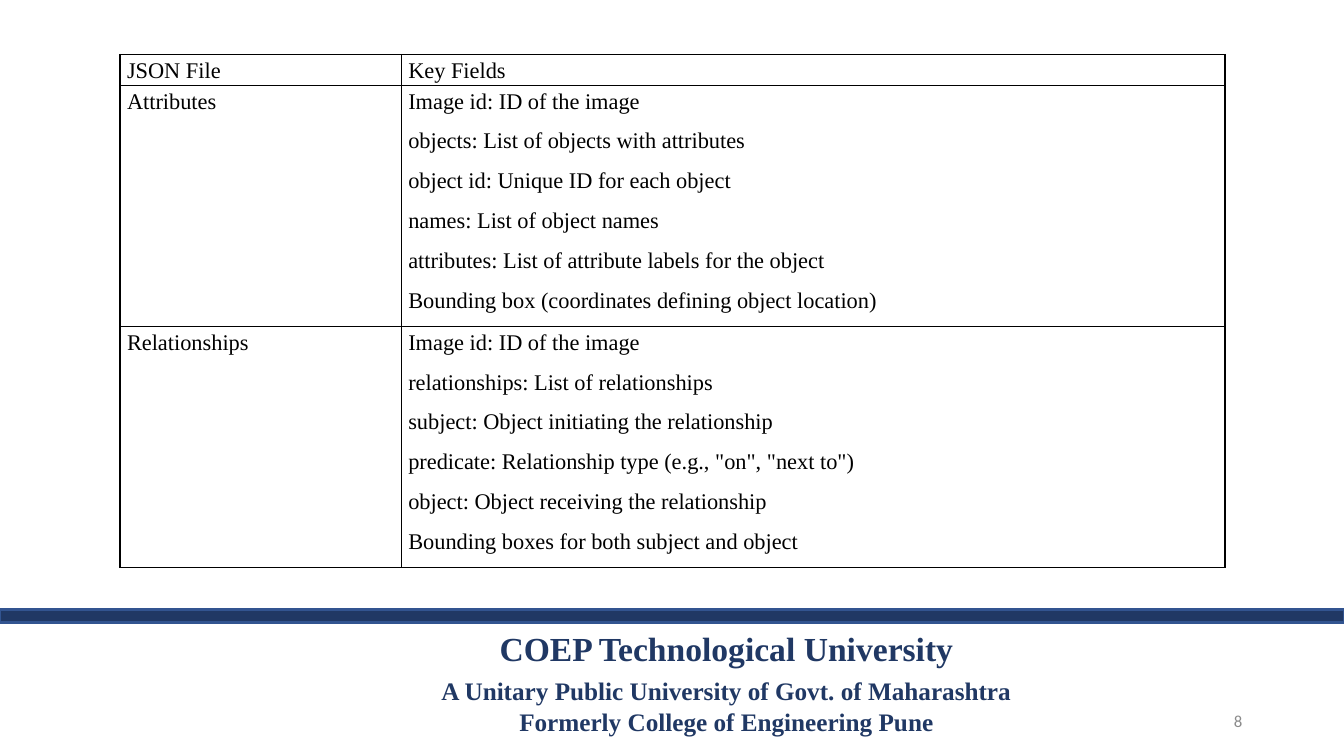
from lxml import etree
from pptx import Presentation
from pptx.dml.color import RGBColor
from pptx.enum.shapes import MSO_SHAPE
from pptx.enum.text import MSO_ANCHOR, PP_ALIGN
from pptx.oxml.ns import qn
from pptx.util import Inches, Pt

NAVY = RGBColor(0x20, 0x38, 0x64)
BLUE = RGBColor(0x32, 0x54, 0x90)
GRAY = RGBColor(0x8B, 0x8B, 0x8B)
BLACK = RGBColor(0, 0, 0)
SERIF = "Times New Roman"
SANS = "Calibri"
RECT = MSO_SHAPE.RECTANGLE
CENTER, RIGHT, JUSTIFY = PP_ALIGN.CENTER, PP_ALIGN.RIGHT, PP_ALIGN.JUSTIFY
TOP, MIDDLE = MSO_ANCHOR.TOP, MSO_ANCHOR.MIDDLE

ROWS = [
    ("JSON File", ["Key Fields"]),
    ("Attributes", [
        "Image id: ID of the image",
        "objects: List of objects with attributes",
        "object id: Unique ID for each object",
        "names: List of object names",
        "attributes: List of attribute labels for the object",
        "Bounding box (coordinates defining object location)",
    ]),
    ("Relationships", [
        "Image id: ID of the image",
        "relationships: List of relationships",
        "subject: Object initiating the relationship",
        'predicate: Relationship type (e.g., "on", "next to")',
        "object: Object receiving the relationship",
        "Bounding boxes for both subject and object",
    ]),
]


class SlideBuilder:
    def __init__(self, slide):
        self.s = slide

    def style(self, p, size, color, align, font=SERIF, bold=False):
        p.alignment = align
        for r in p.runs:
            r.font.name = font
            r.font.size = Pt(size)
            r.font.bold = bold
            r.font.color.rgb = color

    def text(self, box, lines, color, align, anchor=TOP, font=SERIF, bold=False):
        sp = self.s.shapes.add_textbox(*map(Inches, box))
        tf = sp.text_frame
        tf.word_wrap = True
        tf.vertical_anchor = anchor
        tf.text = "\n".join(line for line, size in lines)
        for p, (line, size) in zip(tf.paragraphs, lines):
            self.style(p, size, color, align, font, bold)
        return tf

    def bar(self, box, fill, line):
        sp = self.s.shapes.add_shape(RECT, *map(Inches, box))
        sp.shadow.inherit = False
        sp.fill.solid()
        sp.fill.fore_color.rgb = fill
        sp.line.color.rgb = line
        sp.line.width = Pt(2)

    def borders(self, cell):
        tc_pr = cell._tc.get_or_add_tcPr()
        for side in ("a:lnL", "a:lnR", "a:lnT", "a:lnB"):
            ln = etree.SubElement(tc_pr, qn(side), w=str(Pt(1)))
            fill = etree.SubElement(ln, qn("a:solidFill"))
            etree.SubElement(fill, qn("a:srgbClr"), val=str(BLACK))

    def cell(self, cell, lines):
        self.borders(cell)
        cell.fill.background()
        cell.margin_left = cell.margin_right = Inches(0.07)
        cell.margin_top = cell.margin_bottom = 0
        cell.text_frame.text = "\n".join(lines)
        for p in cell.text_frame.paragraphs:
            p.line_spacing = 1.15
            p.space_after = Pt(8)
            self.style(p, 16, BLACK, JUSTIFY)

    def table(self, box, widths, heights, rows):
        shape = self.s.shapes.add_table(len(rows), len(widths), *map(Inches, box))
        table = shape.table
        table.first_row = table.horz_banding = False
        for column, width in zip(table.columns, widths):
            column.width = Inches(width)
        for i, (name, fields) in enumerate(rows):
            table.rows[i].height = Inches(heights[i])
            self.cell(table.cell(i, 0), [name])
            self.cell(table.cell(i, 1), fields)


def main():
    prs = Presentation()
    prs.slide_width = Inches(13.33)
    prs.slide_height = Inches(7.5)
    b = SlideBuilder(prs.slides.add_slide(prs.slide_layouts[6]))

    footer = b.text((2.15, 6.18, 10.11, 1.2), [
        ("COEP Technological University", 24),
        ("A Unitary Public University of Govt. of Maharashtra", 18),
        ("Formerly College of Engineering Pune", 18),
    ], NAVY, CENTER, bold=True)
    footer.paragraphs[1].space_before = Pt(5)
    footer.paragraphs[1].space_after = Pt(1)
    b.bar((0, 6.05, 13.33, 0.13), NAVY, BLUE)
    b.text((9.42, 6.95, 3, 0.4), [("8", 12)], GRAY, RIGHT, MIDDLE, SANS)
    b.table((1.19, 0.54, 10.96, 5.02), (2.79, 8.17), (0.3, 2.36, 2.36), ROWS)

    prs.save("out.pptx")


if __name__ == "__main__":
    main()
